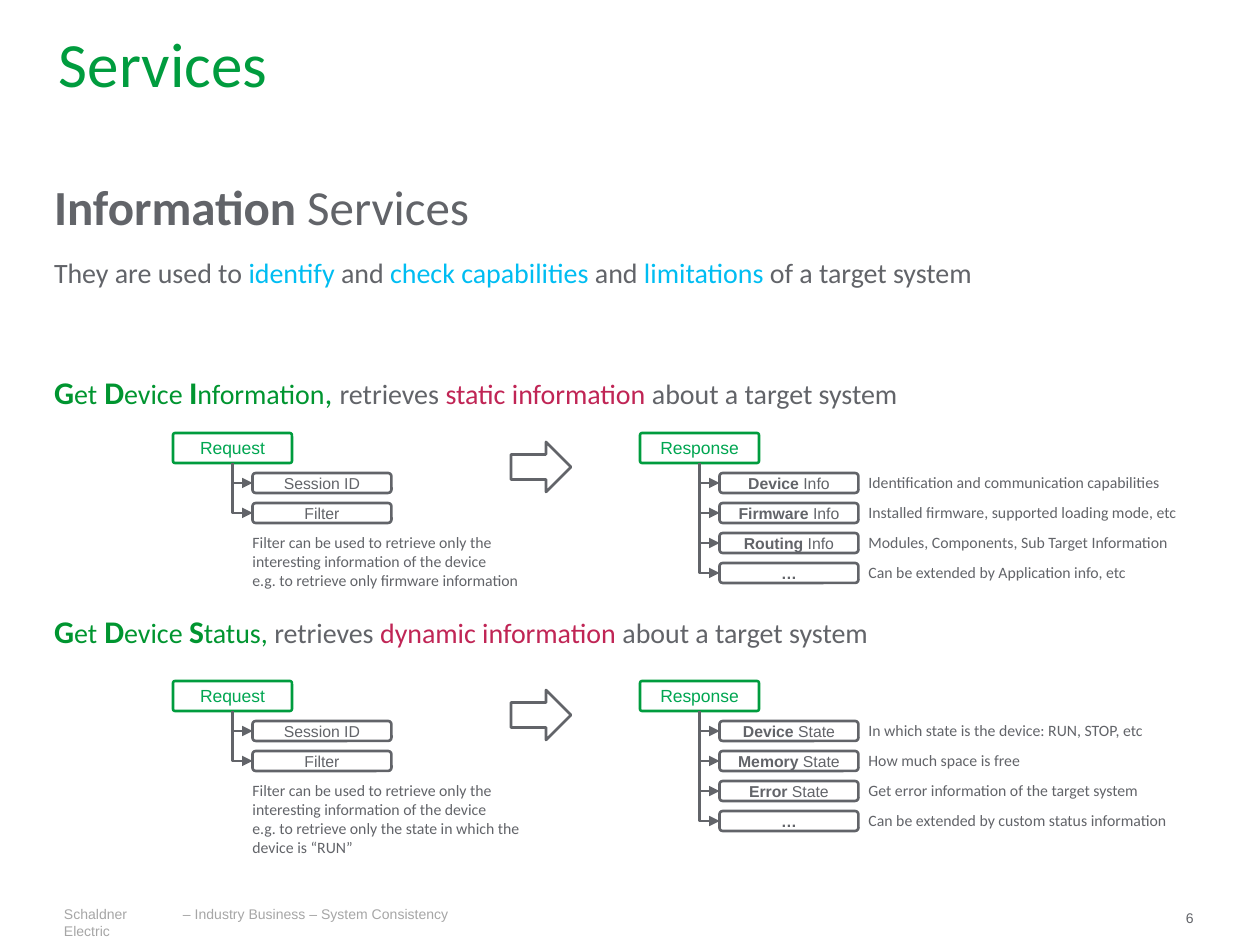
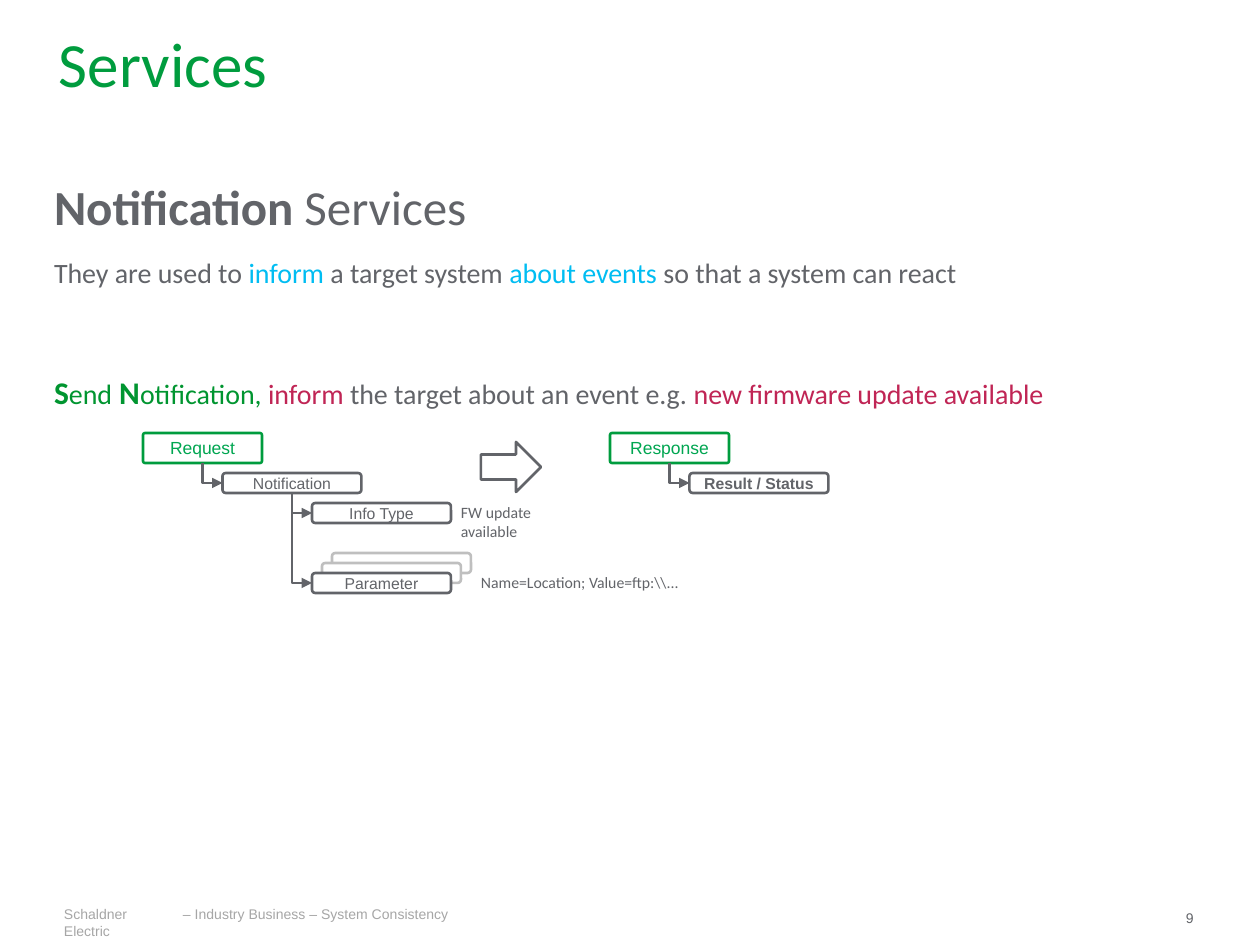
from collections import namedtuple

from lxml import etree
from pptx import Presentation
from pptx.dml.color import RGBColor
from pptx.enum.shapes import MSO_CONNECTOR, MSO_SHAPE
from pptx.enum.text import MSO_ANCHOR, PP_ALIGN
from pptx.oxml.ns import qn
from pptx.util import Emu, Pt

ELBOW = MSO_CONNECTOR.ELBOW
ROUNDED, RIGHT_ARROW = MSO_SHAPE.ROUNDED_RECTANGLE, MSO_SHAPE.RIGHT_ARROW
TOP, MIDDLE = MSO_ANCHOR.TOP, MSO_ANCHOR.MIDDLE
LEFT, CENTER = PP_ALIGN.LEFT, PP_ALIGN.CENTER

WHITE = RGBColor(0xFF, 0xFF, 0xFF)
GREY = RGBColor(0x62, 0x64, 0x69)
FOOTER_GREY = RGBColor(0xA6, 0xA6, 0xA6)
STACK_GREY = RGBColor(0xBF, 0xBF, 0xBF)
GREEN = RGBColor(0x00, 0x9C, 0x3E)
BOX_GREEN = RGBColor(0x00, 0xA6, 0x51)
NAME_GREEN = RGBColor(0x00, 0x95, 0x30)
BLUE = RGBColor(0x00, 0xBD, 0xF2)
RED = RGBColor(0xC0, 0x25, 0x55)

Style = namedtuple("Style", "size color bold font", defaults=(GREY, False, "Calibri"))
TITLE = Style(36, GREEN)
HEADING, HEADING_BOLD = Style(28), Style(28, bold=True)
BODY, KEYWORD, EMPHASIS = Style(16), Style(16, BLUE), Style(16, RED)
INITIAL, NAME = Style(18, NAME_GREEN, True), Style(16, NAME_GREEN)
NAME_COMMA = Style(18, NAME_GREEN)
NOTE = Style(9)
ROOT = Style(10, BOX_GREEN, font="Arial")
FIELD, FIELD_BOLD = Style(9, font="Arial"), Style(9, bold=True, font="Arial")
FOOTER, PAGE_NUMBER = Style(8, FOOTER_GREY, font="Arial"), Style(8, font="Arial")

# Diagram measures, in pixels
ROOT_WIDTH, ROOT_HEIGHT = 119, 30
FIELD_WIDTH, FIELD_HEIGHT = 139, 20
GAP = 10                        # between rows, and between a field and its note
ROW = FIELD_HEIGHT + GAP
BRANCH = 20                     # from a stem to the field it leads to
ARROW_OFFSET, RESPONSE_OFFSET = 338, 467
NOTE_WIDTH = 318

Box = namedtuple("Box", "left top width height")


def px(pixels):
    return Emu(round(pixels * 914400 / 126))


def emu(box):
    return [px(value) for value in box]


# Text and shapes
def write(shape, paragraphs, align=LEFT, anchor=TOP, margins=(0, 0), spaces=()):
    """Paragraphs are lists of (text, style); spaces are points before each."""
    frame = shape.text_frame
    frame.word_wrap = True
    frame.vertical_anchor = anchor
    frame.margin_left = frame.margin_right = px(margins[0])
    frame.margin_top = frame.margin_bottom = px(margins[1])
    for index, runs in enumerate(paragraphs):
        paragraph = frame.paragraphs[0] if index == 0 else frame.add_paragraph()
        paragraph.alignment = align
        if index < len(spaces):
            paragraph.space_before = Pt(spaces[index])
        for text, style in runs:
            run = paragraph.add_run()
            run.text = text
            run.font.size = Pt(style.size)
            run.font.bold = style.bold
            run.font.name = style.font
            run.font.color.rgb = style.color


def add_text(slide, box, paragraphs, **options):
    write(slide.shapes.add_textbox(*emu(box)), paragraphs, **options)


def add_outline(slide, kind, box, color=GREY):
    shape = slide.shapes.add_shape(kind, *emu(box))
    shape.shadow.inherit = False
    shape.fill.solid()
    shape.fill.fore_color.rgb = WHITE
    shape.line.color.rgb = color
    shape.line.width = Pt(1.5)
    return shape


def add_root(slide, left, top, label):
    box = Box(left, top, ROOT_WIDTH, ROOT_HEIGHT)
    shape = add_outline(slide, ROUNDED, box, GREEN)
    shape.adjustments[0] = 0.07
    write(shape, [[(label, ROOT)]], CENTER, MIDDLE, (5, 0))
    return box


def add_branch(slide, parent, child):
    """Elbow arrow from the bottom of the parent to the left of the child."""
    start_x, start_y = parent.left + parent.width / 2, parent.top + parent.height
    across = child.left - start_x
    down = child.top + child.height / 2 - start_y
    # The elbow is drawn unturned about the same centre, then turned by 270 degrees
    left, top = start_x + (across - down) / 2, start_y + (down - across) / 2
    connector = slide.shapes.add_connector(
        ELBOW, px(left), px(top), px(left + down), px(top + across))
    connector.line.color.rgb = GREY
    connector.line.width = Pt(1.5)
    properties = connector._element.spPr
    properties.find(qn("a:prstGeom")).set("prst", "bentConnector2")
    transform = properties.find(qn("a:xfrm"))
    transform.set("rot", "16200000")
    transform.set("flipH", "1")
    etree.SubElement(properties.find(qn("a:ln")), qn("a:tailEnd"), type="triangle")
    etree.SubElement(properties, qn("a:effectLst"))


def add_field(slide, parent, drop, runs, stacked=0):
    """Field that hangs under its parent, with optional grey copies behind."""
    box = Box(parent.left + parent.width / 2 + BRANCH,
              parent.top + parent.height + GAP + drop, FIELD_WIDTH, FIELD_HEIGHT)
    for level in range(stacked, 0, -1):
        shift = level * GAP
        behind = box._replace(left=box.left + shift, top=box.top - shift)
        add_outline(slide, ROUNDED, behind, STACK_GREY)
    add_branch(slide, parent, box)
    write(add_outline(slide, ROUNDED, box), [runs], CENTER, MIDDLE, (5, 0))
    return box


def add_note(slide, field, text, width=NOTE_WIDTH, gap=GAP, height=FIELD_HEIGHT):
    box = Box(field.left + field.width + gap, field.top, width, height)
    add_text(slide, box, [[(text, NOTE)]])


# Regions
def add_frame(slide, number):
    add_text(slide, Box(59, 40, 1142, 45), [[("Services", TITLE)]],
             anchor=MIDDLE, margins=(0, 1))
    add_text(slide, Box(64, 906, 113, 17), [[("Schaldner Electric", FOOTER)]])
    add_text(slide, Box(183, 906, 268, 17),
             [[("– Industry Business – System Consistency", FOOTER)]])
    add_text(slide, Box(1186, 910, 40, 10), [[(str(number), PAGE_NUMBER)]])


def add_introduction(slide, name, sentence):
    heading = [(name, HEADING_BOLD), (" Services", HEADING)]
    add_text(slide, Box(54, 175, 1142, 159), [heading, sentence],
             margins=(0, 1), spaces=(0, 12))


def add_services(slide, services):
    add_text(slide, Box(54, 373, 1181, 525), services, spaces=(0, 115))


def add_exchange(slide, left, top):
    """Request, arrow and response; returns the two root boxes."""
    request = add_root(slide, left, top, "Request")
    add_outline(slide, RIGHT_ARROW, Box(left + ARROW_OFFSET, top + 9, 60, 50))
    return request, add_root(slide, left + RESPONSE_OFFSET, top, "Response")


def add_query(slide, left, top, example, subject, answers):
    request, response = add_exchange(slide, left, top)
    for index, label in enumerate(("Session ID", "Filter")):
        field = add_field(slide, request, index * ROW, [(label, FIELD)])
    purpose = ("Filter can be used to retrieve only the interesting "
               "information of the device")
    add_text(slide, Box(field.left, field.top + ROW, 287, 76),
             [[(purpose, NOTE)], [(example, NOTE)]])
    for index, (name, note) in enumerate(answers):
        runs = [(name, FIELD_BOLD)]
        if name != "…":
            runs.append((" " + subject, FIELD))
        add_note(slide, add_field(slide, response, index * ROW, runs), note)


def add_notification(slide, left, top):
    request, response = add_exchange(slide, left, top)
    add_field(slide, response, 0, [("Result / Status", FIELD_BOLD)])
    notification = add_field(slide, request, 0, [("Notification", FIELD)])
    info_type = add_field(slide, notification, 0, [("Info Type", FIELD)])
    parameter = add_field(slide, notification, 70, [("Parameter", FIELD)], stacked=2)
    add_note(slide, info_type, "FW update available", width=110, height=38)
    add_note(slide, parameter, "Name=Location; Value=ftp:\\\\...", width=208, gap=30)


# Slides
def build_information(slide):
    add_frame(slide, 6)
    add_introduction(slide, "Information", [
        ("They are used to ", BODY), ("identify", KEYWORD), (" and ", BODY),
        ("check capabilities", KEYWORD), (" and ", BODY),
        ("limitations", KEYWORD), (" of a target system", BODY)])
    get_device = [("G", INITIAL), ("et", NAME), (" D", INITIAL), ("evice ", NAME)]
    about = ("about a target system", BODY)
    add_services(slide, [
        get_device + [("I", INITIAL), ("nformation", NAME), (", ", NAME_COMMA),
                      ("retrieves ", BODY), ("static information ", EMPHASIS), about],
        get_device + [("S", INITIAL), ("tatus, ", NAME), ("retrieves", BODY),
                      (" dynamic information ", EMPHASIS), about]])
    add_query(slide, 173, 433, "e.g. to retrieve only firmware information", "Info", [
        ("Device", "Identification and communication capabilities"),
        ("Firmware", "Installed firmware, supported loading mode, etc"),
        ("Routing", "Modules, Components, Sub Target Information"),
        ("…", "Can be extended by Application info, etc")])
    add_query(slide, 173, 681,
              "e.g. to retrieve only the state in which the device is “RUN”", "State", [
                  ("Device", "In which state is the device: RUN, STOP, etc"),
                  ("Memory", "How much space is free"),
                  ("Error", "Get error information of the target system"),
                  ("…", "Can be extended by custom status information")])


def build_notification(slide):
    add_frame(slide, 9)
    add_introduction(slide, "Notification", [
        ("They are used to ", BODY), ("inform", KEYWORD), (" a target system ", BODY),
        ("about events ", KEYWORD), ("so that a system can react", BODY)])
    add_services(slide, [[
        ("S", INITIAL), ("end", NAME), (" N", INITIAL), ("otification, ", NAME),
        ("inform", EMPHASIS), (" the target about an event e.g. ", BODY),
        ("new firmware update available", EMPHASIS)]])
    add_notification(slide, 143, 433)


presentation = Presentation()
presentation.slide_width, presentation.slide_height = px(1260), px(945)
for build in (build_information, build_notification):
    build(presentation.slides.add_slide(presentation.slide_layouts[6]))
presentation.save("out.pptx")
